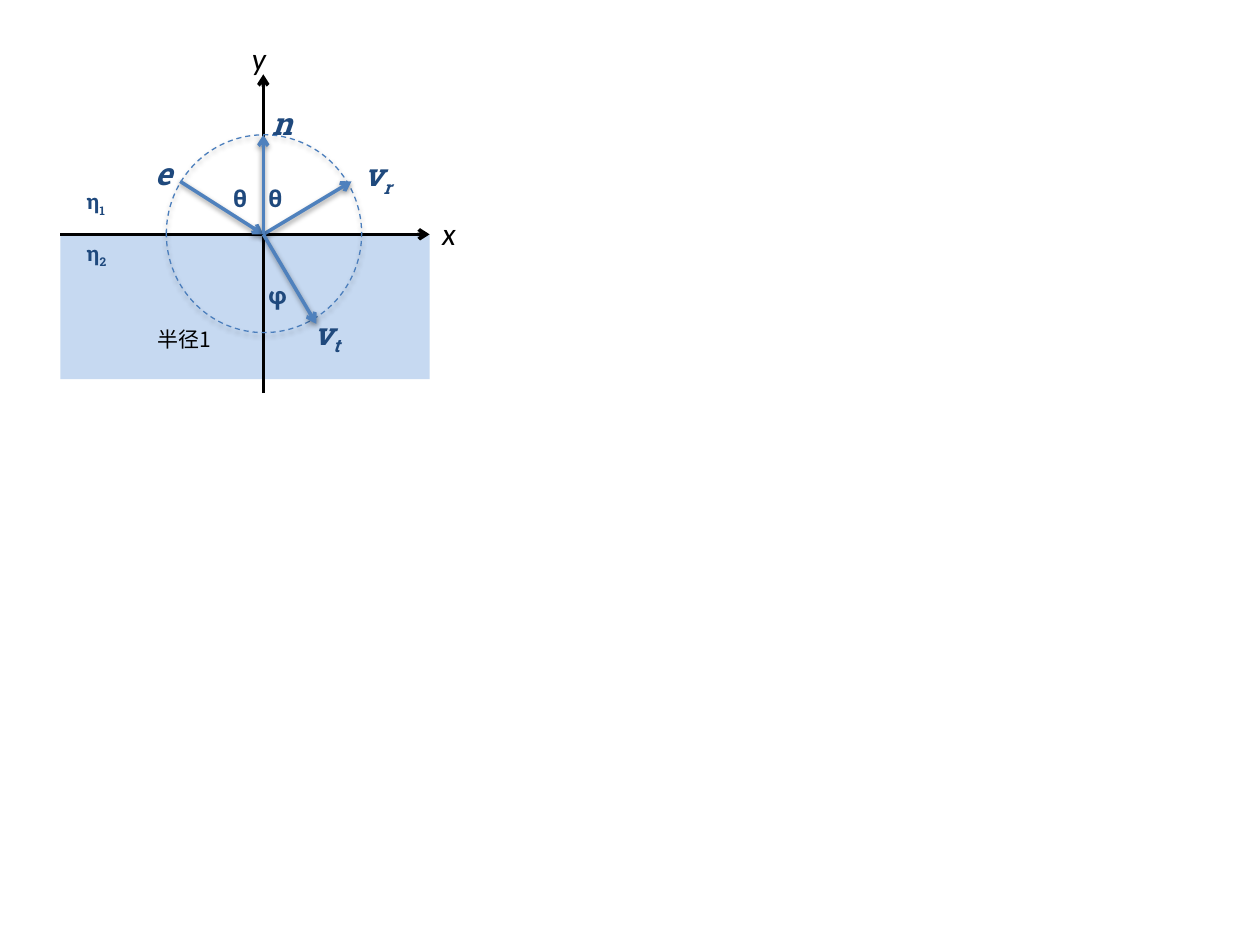
from lxml.etree import SubElement
from pptx import Presentation
from pptx.dml.color import RGBColor
from pptx.enum.dml import MSO_LINE
from pptx.enum.shapes import MSO_CONNECTOR, MSO_SHAPE
from pptx.enum.text import MSO_AUTO_SIZE
from pptx.oxml.ns import qn
from pptx.util import Inches, Pt

BLACK = RGBColor(0x00, 0x00, 0x00)
WATER = RGBColor(0xC6, 0xD9, 0xF1)
RAY = RGBColor(0x4F, 0x81, 0xBD)
RING = RGBColor(0x4B, 0x7E, 0xBC)
NAVY = RGBColor(0x1F, 0x49, 0x7D)

COLS, ROWS = 100, 75
LATIN, SLAB, CJK = "Calibri", "Roboto Slab", "Noto Sans CJK JP"


class Diagram:
    """Holds the slide and its grid, and draws each kind of element."""

    def __init__(self, prs):
        self.slide = prs.slides.add_slide(prs.slide_layouts[6])
        self.col = prs.slide_width / COLS
        self.row = prs.slide_height / ROWS

    def at(self, x, y):
        return round(x * self.col), round(y * self.row)

    def effects(self, sp, alpha=None, dist=1.6):
        """Give an empty effect list, or a soft shadow straight below."""
        lst = SubElement(sp._element.spPr, qn("a:effectLst"))
        if alpha:
            shadow = SubElement(lst, qn("a:outerShdw"), blurRad=str(Pt(3.1)),
                                dist=str(Pt(dist)), dir="5400000", rotWithShape="0")
            clr = SubElement(shadow, qn("a:srgbClr"), val=str(BLACK))
            SubElement(clr, qn("a:alpha"), val=str(alpha * 1000))

    def area(self, x, y, w, h, color):
        sp = self.slide.shapes.add_shape(MSO_SHAPE.RECTANGLE, *self.at(x, y), *self.at(w, h))
        sp.fill.solid()
        sp.fill.fore_color.rgb = color
        sp.line.fill.background()
        self.effects(sp)

    def ring(self, x, y, w, h, color):
        sp = self.slide.shapes.add_shape(MSO_SHAPE.OVAL, *self.at(x, y), *self.at(w, h))
        sp.fill.background()
        sp.line.color.rgb = color
        sp.line.width = Pt(0.75)
        sp.line.dash_style = MSO_LINE.DASH
        self.effects(sp, alpha=35, dist=1.8)

    def arrow(self, start, end, color, alpha=None):
        sp = self.slide.shapes.add_connector(
            MSO_CONNECTOR.STRAIGHT, *self.at(*start), *self.at(*end))
        sp.line.color.rgb = color
        sp.line.width = Pt(2)
        SubElement(sp.line._get_or_add_ln(), qn("a:tailEnd"), type="arrow")
        self.effects(sp, alpha)

    def label(self, x, y, w, h, text, size, font, color=NAVY,
              bold=False, italic=False, sub="", wrap=False):
        tf = self.slide.shapes.add_textbox(*self.at(x, y), *self.at(w, h)).text_frame
        tf.word_wrap = wrap
        tf.auto_size = MSO_AUTO_SIZE.SHAPE_TO_FIT_TEXT
        p = tf.paragraphs[0]
        p.text = text
        if sub:
            p.add_run().text = sub
        for r in p.runs:
            r.font.size = Pt(size)
            r.font.name = font
            r.font.bold = bold
            r.font.italic = italic
            r.font.color.rgb = color
            SubElement(r._r.get_or_add_rPr(), qn("a:ea"), typeface=font)
        if sub:
            p.runs[1]._r.get_or_add_rPr().set("baseline", "-25000")

    def axis_name(self, x, y, text):
        self.label(x, y, 3.9, 4, text, 18, LATIN, BLACK, italic=True)

    def vector_name(self, x, y, w, text, sub=""):
        self.label(x, y, w, 4, text, 18, SLAB, bold=True, italic=True, sub=sub)

    def angle(self, x, y, text):
        self.label(x, y, 4, 3.4, text, 14, SLAB, bold=True)

    def index(self, y, sub):
        self.label(5.9, y, 4.5, 3, "η", 12, SLAB, bold=True, sub=sub)


def main():
    prs = Presentation()
    prs.slide_width, prs.slide_height = Inches(10), Inches(7.5)
    d = Diagram(prs)
    cx, cy = origin = 20.9, 18.6
    left, right = 4.8, 34.1

    # Lower medium, axes and unit circle
    d.area(left, cy, right - left, 11.5, WATER)
    d.arrow((left, cy), (right, cy), BLACK)
    d.arrow((cx, 31.2), (cx, 5.9), BLACK)
    d.ring(13.2, 10.7, 15.5, 15.7, RING)

    # Incoming, reflected, normal and refracted vectors
    for start, end in [((14.3, 14.4), origin), (origin, (27.9, 14.4)),
                       (origin, (cx, 10.7)), (origin, (25.1, 25.7))]:
        d.arrow(start, end, RAY, alpha=38)

    # Axis and vector names
    d.axis_name(34.1, 16.5, "x")
    d.axis_name(19, 2.6, "y")
    d.vector_name(11.3, 11.7, 4.2, "e")
    d.vector_name(27.9, 11.8, 4.8, "v", "r")
    d.vector_name(20.6, 7.8, 4.5, "n")
    d.vector_name(23.9, 24.4, 4.7, "v", "t")

    # Angles, refractive indices and radius note
    d.angle(17.5, 14, "θ")
    d.angle(20.3, 14, "θ")
    d.angle(20.3, 21.7, "φ")
    d.index(14.5, "1")
    d.index(cy, "2")
    d.label(11.5, 25.4, 6.4, 3, "半径1", 12, CJK, BLACK, wrap=True)

    prs.save("out.pptx")


if __name__ == "__main__":
    main()
